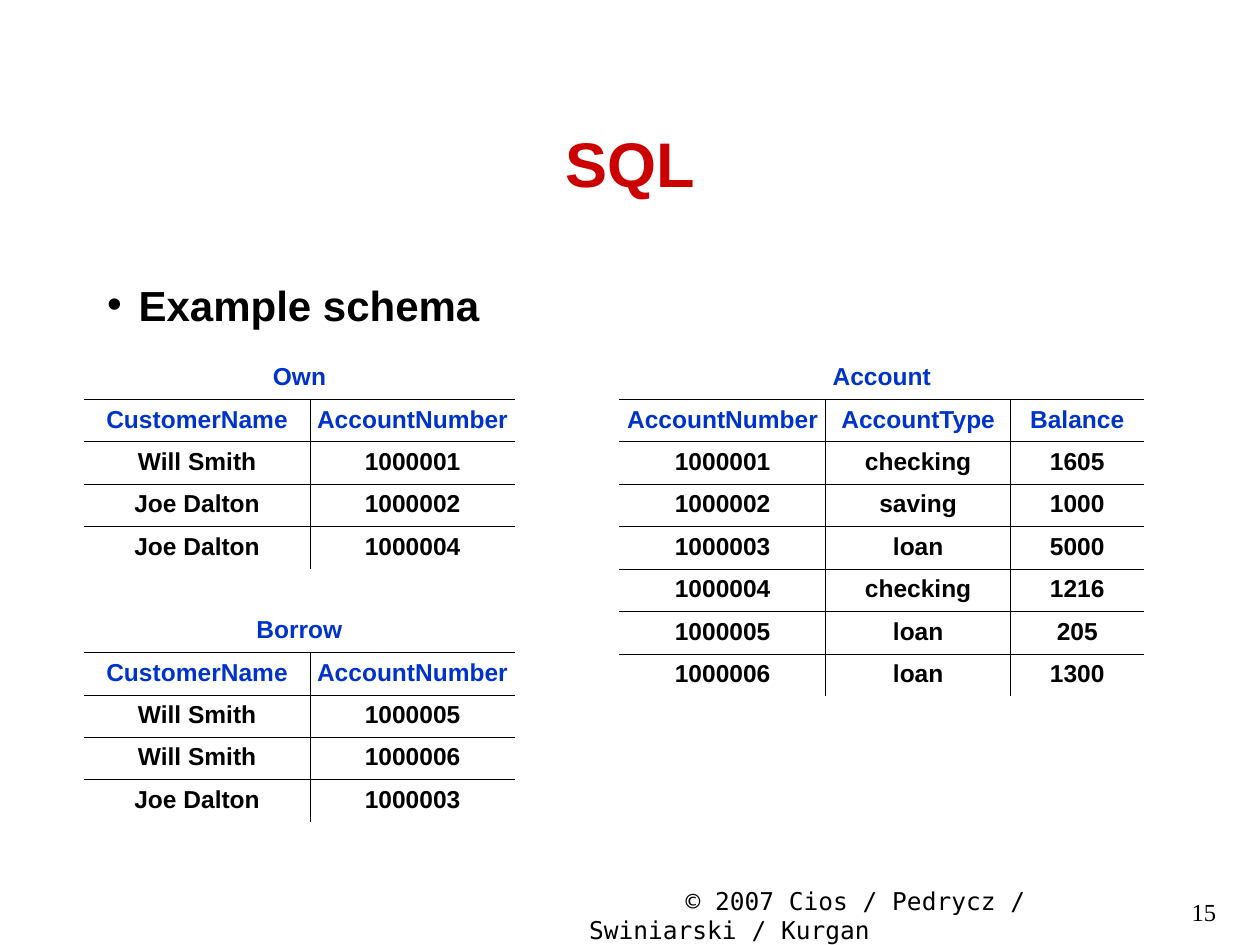
from lxml import etree
from pptx import Presentation
from pptx.dml.color import RGBColor
from pptx.enum.text import MSO_ANCHOR, MSO_AUTO_SIZE, PP_ALIGN
from pptx.oxml.ns import qn
from pptx.util import Inches, Pt

LEFT, MID, RIGHT = PP_ALIGN.LEFT, PP_ALIGN.CENTER, PP_ALIGN.RIGHT
TOP, MIDDLE = MSO_ANCHOR.TOP, MSO_ANCHOR.MIDDLE
FIXED = MSO_AUTO_SIZE.NONE
BLACK = RGBColor(0x00, 0x00, 0x00)
RED = RGBColor(0xCC, 0x00, 0x00)
BLUE = RGBColor(0x00, 0x33, 0xCC)
PLAIN = "{2D5ABB26-0587-4C30-8999-92F81FD0307C}"

deck = Presentation()
deck.slide_width, deck.slide_height = Inches(10), Inches(7.5)
UNIT = deck.slide_width / 120
ROW = 4.04


def grid(*spans):
    return [round(span * UNIT) for span in spans]


def put(frame, text, size=14, color=BLACK, bold=True, font="Arial", align=MID):
    para = frame.paragraphs[0]
    para.alignment = align
    para.space_before = Pt(0)
    run = para.add_run()
    run.text = text
    run.font.size = Pt(size)
    run.font.name = font
    run.font.bold = bold
    run.font.color.rgb = color
    return para


slide = deck.slides.add_slide(deck.slide_layouts[1])

foot = slide.shapes.add_textbox(*grid(31, 83.75, 77, 6.25)).text_frame
foot.word_wrap = True
foot.margin_left = foot.margin_right = Inches(0.25)
line = put(foot, "© 2007 Cios / Pedrycz / Swiniarski / Kurgan",
           bold=False, font="DejaVu Sans Mono")
line._p.get_or_add_pPr().set("indent", str(Inches(2)))

title, body = slide.placeholders
for holder, area, anchor in (
    (title, (9, 8, 102, 15), MIDDLE),
    (body, (9, 26, 105, 7), TOP),
):
    holder.left, holder.top, holder.width, holder.height = grid(*area)
    holder.text_frame.auto_size = FIXED
    holder.text_frame.vertical_anchor = anchor
put(title.text_frame, "SQL", size=36, color=RED)
item = put(body.text_frame, "Example schema", size=24, align=LEFT)
props = item._p.get_or_add_pPr()
props.set("marL", str(Inches(0.25)))
props.set("indent", str(-Inches(0.25)))
etree.SubElement(props, qn("a:buChar"), char="•")

TABLES = [
    ("Account", 59, 34, (19.65, 17.6, 12.7), [
        ("AccountNumber", "AccountType", "Balance"),
        ("1000001", "checking", "1605"),
        ("1000002", "saving", "1000"),
        ("1000003", "loan", "5000"),
        ("1000004", "checking", "1216"),
        ("1000005", "loan", "205"),
        ("1000006", "loan", "1300"),
    ]),
    ("Own", 8, 34, (21.55, 19.5), [
        ("CustomerName", "AccountNumber"),
        ("Will Smith", "1000001"),
        ("Joe Dalton", "1000002"),
        ("Joe Dalton", "1000004"),
    ]),
    ("Borrow", 8, 58.1, (21.55, 19.5), [
        ("CustomerName", "AccountNumber"),
        ("Will Smith", "1000005"),
        ("Will Smith", "1000006"),
        ("Joe Dalton", "1000003"),
    ]),
]

for name, left, top, widths, data in TABLES:
    rows, cols = len(data) + 1, len(widths)
    area = grid(left, top, sum(widths), ROW * rows)
    table = slide.shapes.add_table(rows, cols, *area).table
    table.first_row = table.horz_banding = False
    table._tbl.tblPr.find(qn("a:tableStyleId")).text = PLAIN
    for col, width in zip(table.columns, grid(*widths)):
        col.width = width
    for row in table.rows:
        row.height = round(ROW * UNIT)
    table.cell(0, 0).merge(table.cell(0, cols - 1))

    for r, texts in enumerate([(name,)] + data):
        for c in range(cols):
            cell = table.cell(r, c)
            cell.margin_left = cell.margin_right = Inches(0.05)
            cell.margin_top = cell.margin_bottom = Inches(0.05)
            sides = {
                "L": r > 0 and c > 0,
                "R": r > 0 and c < cols - 1,
                "T": r > 0,
                "B": r < rows - 1,
            }
            props = cell._tc.get_or_add_tcPr()
            for side, shown in sides.items():
                if shown:
                    edge = etree.SubElement(props, qn("a:ln" + side), w=str(Pt(0.45)))
                    fill = etree.SubElement(edge, qn("a:solidFill"))
                    etree.SubElement(fill, qn("a:srgbClr"), val=str(BLACK))
            cell.fill.background()
            if c < len(texts):
                put(cell.text_frame, texts[c], color=BLUE if r < 2 else BLACK)

page = slide.shapes.add_textbox(*grid(97, 84.85, 20, 6)).text_frame
page.word_wrap = True
put(page, "15", bold=False, font="Times New Roman", align=RIGHT)

deck.save("out.pptx")
